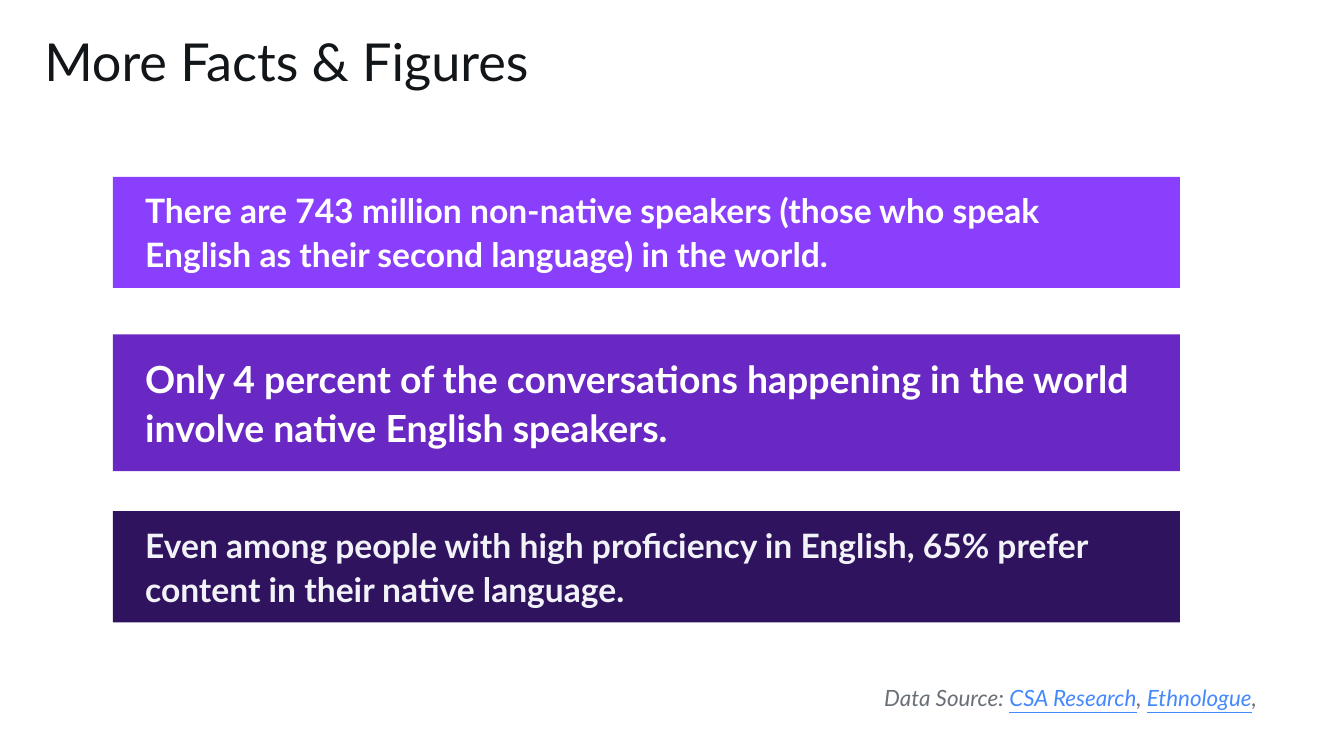
from dataclasses import dataclass

from pptx import Presentation
from pptx.dml.color import RGBColor
from pptx.enum.shapes import MSO_SHAPE
from pptx.enum.text import MSO_ANCHOR, MSO_AUTO_SIZE, PP_ALIGN
from pptx.util import Inches, Pt

RECTANGLE = MSO_SHAPE.RECTANGLE
TOP, MIDDLE = MSO_ANCHOR.TOP, MSO_ANCHOR.MIDDLE
LEFT, RIGHT = PP_ALIGN.LEFT, PP_ALIGN.RIGHT
FIXED = MSO_AUTO_SIZE.NONE
PAGE_WIDTH = Inches(10)
PAGE_HEIGHT = PAGE_WIDTH * 9 // 16


@dataclass(frozen=True)
class Theme:
    font: str = "Lato"
    title: str = "121619"
    muted: str = "697077"
    link: str = "4589FF"
    white: str = "FFFFFF"
    pale: str = "F2F3F8"
    violet: str = "8A3FFC"
    purple: str = "6928C3"
    indigo: str = "30135E"
    title_size: int = 28
    key_size: int = 20
    fact_size: int = 18
    source_size: int = 12


THEME = Theme()

FACTS = [
    ("There are 743 million non-native speakers (those who speak English as their "
     "second language) in the world.",
     23.4, 14.7, THEME.violet, THEME.white, THEME.fact_size),
    ("Only 4 percent of the conversations happening in the world involve native "
     "English speakers.",
     44.25, 18.1, THEME.purple, THEME.white, THEME.key_size),
    ("Even among people with high proficiency in English, 65% prefer content in "
     "their native language.",
     67.63, 14.7, THEME.indigo, THEME.pale, THEME.fact_size),
]

SOURCES = [
    ("Data Source: ", False),
    ("CSA Research", True),
    (", ", False),
    ("Ethnologue", True),
    (", ", False),
]


def share(left, top, width, height):
    return (round(PAGE_WIDTH * left / 100), round(PAGE_HEIGHT * top / 100),
            round(PAGE_WIDTH * width / 100), round(PAGE_HEIGHT * height / 100))


def set_frame(frame, insets, anchor=TOP):
    frame.word_wrap = True
    frame.auto_size = FIXED
    frame.vertical_anchor = anchor
    (frame.margin_left, frame.margin_top,
     frame.margin_right, frame.margin_bottom) = map(Inches, insets)


def add_text(para, text, size, color, bold=False, italic=False,
             underline=False, align=LEFT, spacing=1.1):
    para.alignment = align
    para.line_spacing = spacing
    para.space_before = Pt(0)
    span = para.add_run()
    span.text = text
    font = span.font
    font.name, font.size = THEME.font, Pt(size)
    font.bold, font.italic, font.underline = bold, italic, underline
    font.color.rgb = RGBColor.from_string(color)


def place_title(page, box, text):
    title = page.shapes.title
    title.left, title.top, title.width, title.height = box
    set_frame(title.text_frame, (0.1, 0.05, 0.1, 0.05))
    add_text(title.text_frame.paragraphs[0], text, THEME.title_size,
             THEME.title, spacing=0.9)


def place_fact(page, box, text, fill, color, size):
    bar = page.shapes.add_shape(RECTANGLE, *box)
    bar.shadow.inherit = False
    bar.fill.solid()
    bar.fill.fore_color.rgb = RGBColor.from_string(fill)
    bar.line.fill.background()
    set_frame(bar.text_frame, (0.24, 0.22, 0.25, 0.25), MIDDLE)
    add_text(bar.text_frame.paragraphs[0], text, size, color, bold=True)


def place_sources(page, box, sources):
    frame = page.shapes.add_textbox(*box).text_frame
    set_frame(frame, (0, 0, 0, 0))
    for text, linked in sources:
        add_text(frame.paragraphs[0], text, THEME.source_size,
                 THEME.link if linked else THEME.muted,
                 italic=True, underline=linked, align=RIGHT)


def main():
    deck = Presentation()
    deck.slide_width, deck.slide_height = PAGE_WIDTH, PAGE_HEIGHT
    page = deck.slides.add_slide(deck.slide_layouts.get_by_name("Title Only"))
    place_sources(page, share(60.7, 90.17, 33.2, 3.73), SOURCES)
    for text, top, height, fill, color, size in FACTS:
        place_fact(page, share(8.4, top, 79.4, height), text, fill, color, size)
    place_title(page, share(2.3, 3.91, 50.6, 15.64), "More Facts & Figures")
    deck.save("out.pptx")


if __name__ == "__main__":
    main()
